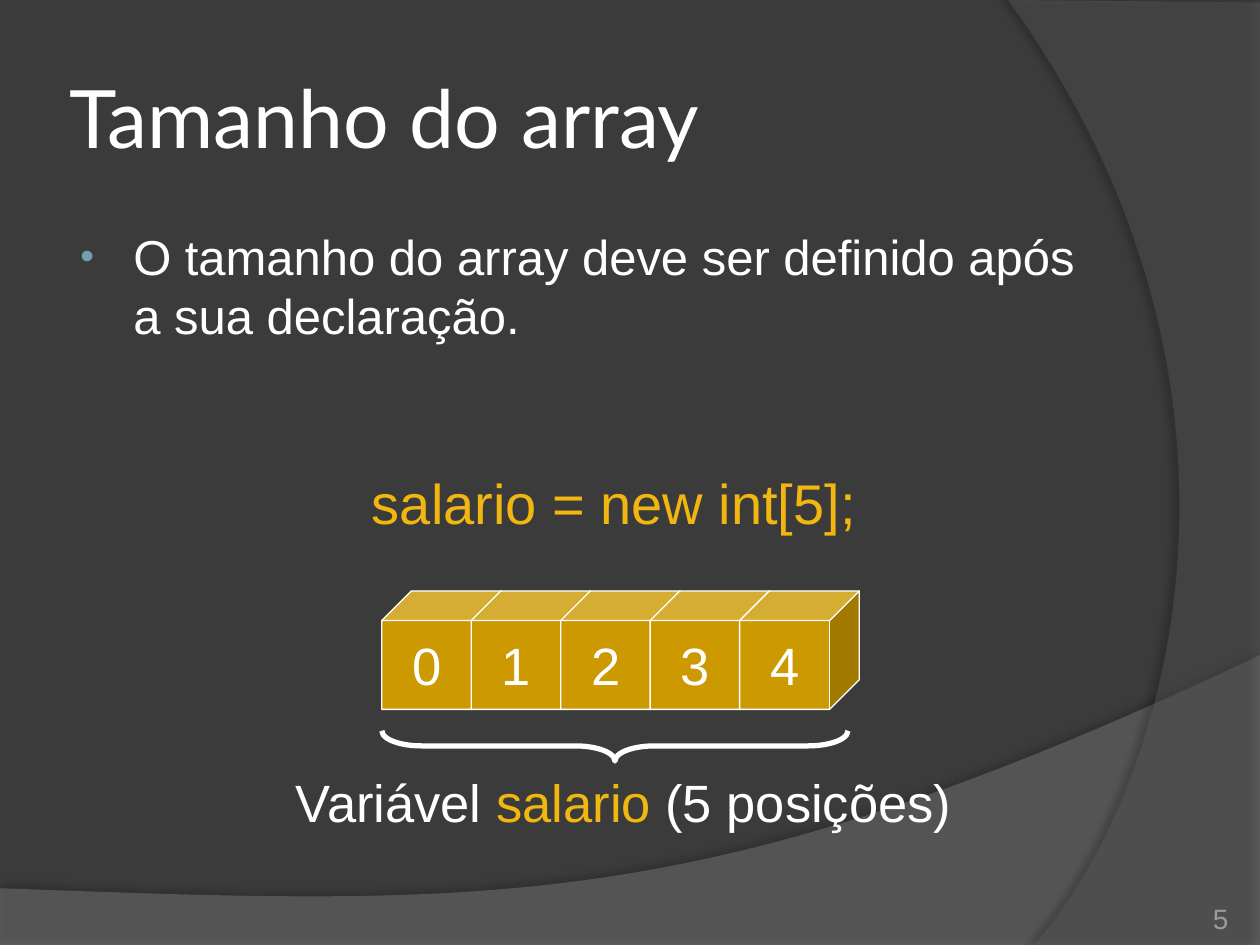
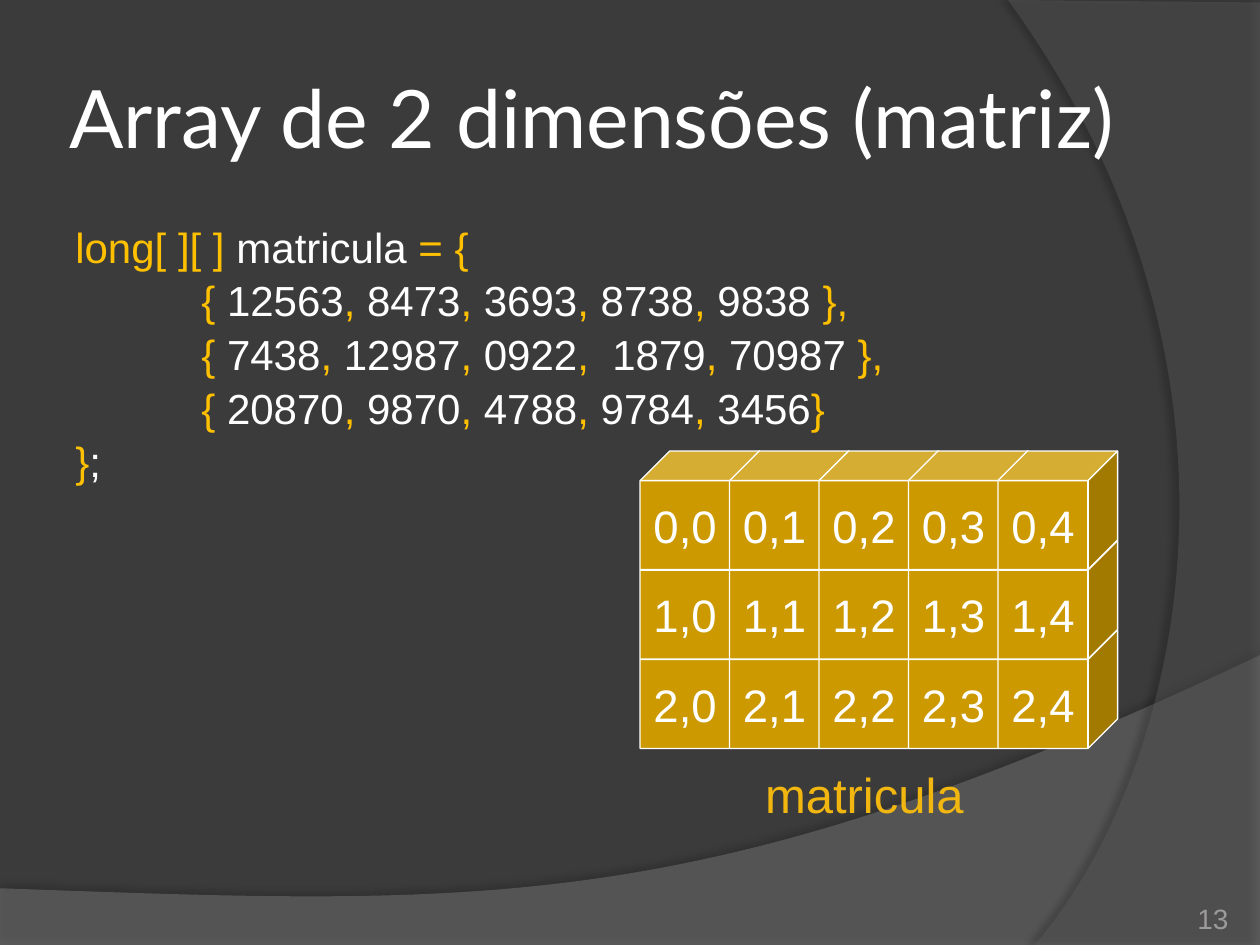
from lxml import etree
from pptx import Presentation
from pptx.dml.color import RGBColor
from pptx.enum.shapes import MSO_SHAPE as Shape
from pptx.enum.text import MSO_ANCHOR as Anchor, PP_ALIGN as Align
from pptx.oxml.ns import qn
from pptx.util import Inches, Pt

# Colours
WHITE = RGBColor(0xFF, 0xFF, 0xFF)
CHARCOAL = RGBColor(0x3B, 0x3B, 0x3B)
WAVE_GREY = RGBColor(0x7F, 0x7F, 0x7F)
ARC_GREY = RGBColor(0x5E, 0x5E, 0x5E)
NUMBER_GREY = RGBColor(0x9D, 0x9B, 0x9A)
BULLET_BLUE = RGBColor(0x6E, 0xA0, 0xB0)
CUBE_GOLD = RGBColor(0xCC, 0x99, 0x00)
NAME_GOLD = RGBColor(0xF1, 0xB6, 0x0F)
CODE_GOLD = RGBColor(0xFF, 0xC0, 0x00)

# Content
SIZE_TITLE, SIZE_PAGE = "Tamanho do array", 5
SIZE_RULE = "O tamanho do array deve ser definido após a sua declaração."
SIZE_CODE = "salario = new int[5];"
SIZE_CAPTION = [("Variável ", WHITE), ("salario", NAME_GOLD),
                (" (5 posições)", WHITE)]
SIZE_CELLS = [["0", "1", "2", "3", "4"]]

MATRIX_TITLE, MATRIX_PAGE = "Array de 2 dimensões (matriz)", 13
MATRIX_NAME = "matricula"
# Bars separate gold syntax from white values, gold first
MATRIX_CODE = [
    "long[ ][ ] |matricula| = {",
    "\t{ |12563|, |8473|, |3693|, |8738|, |9838| },",
    "\t{ |7438|, |12987|, |0922|,  |1879|, |70987| },",
    "\t{ |20870|, |9870|, |4788|, |9784|, |3456|}",
    "}|;",
]
MATRIX_CELLS = [[f"{row},{column}" for column in range(5)] for row in range(3)]

# Shared geometry, in inches
BODY = (0.5, 1.75, 8.17, 4.95)
CUBE_WIDTH, CUBE_HEIGHT, CUBE_STEP = 0.95, 0.94, 0.71
# Each outline: start, curve (two controls and an end), closing corners
WAVE = ((10, 5.2), [(5.59, 7.29), (3.91, 7.19), (0, 7.05)], [(0, 7.5), (10, 7.5)])
ARC = ((8.21, 7.5), [(9.35, 6.19), (10.18, 3), (8, 0)], [(10, 0.02), (10, 7.5)])


def write(para, spans, size, font="Arial"):
    para.font.size, para.font.name = Pt(size), font
    for text, color in spans:
        span = para.add_run()
        span.text = text
        span.font.color.rgb = color


def add_text(page, place, spans, size, font="Arial", align=Align.LEFT,
             anchor=Anchor.TOP, wrap=True, inset=(0.1, 0.05)):
    box = page.shapes.add_textbox(*map(Inches, place))
    frame = box.text_frame
    frame.word_wrap, frame.vertical_anchor = wrap, anchor
    frame.margin_left = frame.margin_right = Inches(inset[0])
    frame.margin_top = frame.margin_bottom = Inches(inset[1])
    para = frame.paragraphs[0]
    para.alignment = align
    write(para, spans, size, font)
    return frame


def add_label(page, place, spans, size):
    add_text(page, place, spans, size, align=Align.CENTER, wrap=False)


def set_alpha(color, percent):
    etree.SubElement(color, qn("a:alpha"), val=str(percent * 1000))


def bend_first_side(band, controls):
    """Turn the first straight side into a cubic curve."""
    side = next(band._element.iter(qn("a:lnTo")))
    curve = etree.Element(qn("a:cubicBezTo"))
    for x, y in controls:
        etree.SubElement(curve, qn("a:pt"), x=str(Inches(x) - band.left),
                         y=str(Inches(y) - band.top))
    side.getparent().replace(side, curve)


def add_band(page, outline, color, opacity, shade, distance, angle):
    """A translucent curved band with a soft shadow."""
    start, controls, corners = outline
    builder = page.shapes.build_freeform(*map(Inches, start))
    points = [controls[-1], *corners]
    builder.add_line_segments([(Inches(x), Inches(y)) for x, y in points], close=True)
    band = builder.convert_to_shape()
    bend_first_side(band, controls)
    band.fill.solid()
    band.fill.fore_color.rgb = color
    band.line.fill.background()
    band.shadow.inherit = False
    properties = band._element.spPr
    set_alpha(properties.find(qn("a:solidFill"))[0], opacity)
    shadow = etree.SubElement(
        properties.find(qn("a:effectLst")), qn("a:outerShdw"), blurRad=str(Pt(4)),
        dist=str(Pt(distance)), dir=str(angle * 60000), algn="ctr", rotWithShape="0")
    set_alpha(etree.SubElement(shadow, qn("a:srgbClr"), val="000000"), shade)


def add_page(deck, title, number):
    page = deck.slides.add_slide(deck.slide_layouts[6])
    page.background.fill.solid()
    page.background.fill.fore_color.rgb = CHARCOAL
    add_band(page, WAVE, WAVE_GREY, 45, 35, 3.5, 270)
    add_band(page, ARC, ARC_GREY, 40, 45, 4, 180)
    add_text(page, (0.5, 0.3, 9.11, 1.25), [(title, WHITE)], 46, "Lato",
             anchor=Anchor.MIDDLE, inset=(0.05, 0.05))
    add_text(page, (8.92, 7.02, 0.83, 0.4), [(str(number), NUMBER_GREY)], 16,
             align=Align.RIGHT, anchor=Anchor.BOTTOM, inset=(0, 0))
    return page


def add_cubes(page, left, top, rows, size):
    """Stack the cubes from the bottom row up, so each hides the one behind."""
    for row, labels in reversed(list(enumerate(rows))):
        for column, label in enumerate(labels):
            cube = page.shapes.add_shape(
                Shape.CUBE, Inches(left + column * CUBE_STEP),
                Inches(top + row * CUBE_STEP), Inches(CUBE_WIDTH), Inches(CUBE_HEIGHT))
            cube.shadow.inherit = False
            cube.adjustments[0] = 0.25
            cube.fill.solid()
            cube.fill.fore_color.rgb = CUBE_GOLD
            cube.line.color.rgb, cube.line.width = WHITE, Pt(0.74)
            frame = cube.text_frame
            frame.word_wrap, frame.vertical_anchor = False, Anchor.MIDDLE
            para = frame.paragraphs[0]
            para.alignment, para.space_before = Align.CENTER, Pt(7.5)
            write(para, [(label, WHITE)], size)


def add_bullet(para):
    properties = para._p.get_or_add_pPr()
    properties.set("marL", str(Inches(0.46)))
    properties.set("indent", str(Inches(-0.42)))
    color = etree.Element(qn("a:buClr"))
    etree.SubElement(color, qn("a:srgbClr"), val=str(BULLET_BLUE))
    bullet = [color, etree.Element(qn("a:buSzPct"), val="80000"),
              etree.Element(qn("a:buFont"), typeface="Arial"),
              etree.Element(qn("a:buChar"), char="•")]
    for position, part in enumerate(bullet):
        properties.insert(position, part)


def add_tab_stop(para, position):
    stops = etree.Element(qn("a:tabLst"))
    etree.SubElement(stops, qn("a:tab"), pos=str(Inches(position)), algn="l")
    para._p.get_or_add_pPr().find(qn("a:defRPr")).addprevious(stops)


deck = Presentation()
deck.slide_width, deck.slide_height = Inches(10), Inches(7.5)

# Array size
page = add_page(deck, SIZE_TITLE, SIZE_PAGE)
rule = add_text(page, BODY, [(SIZE_RULE, WHITE)], 28)
add_bullet(rule.paragraphs[0])
add_cubes(page, 3.03, 4.69, SIZE_CELLS, 30)
add_label(page, (2.84, 3.67, 4.07, 0.64), [(SIZE_CODE, NAME_GOLD)], 32)
brace = page.shapes.add_shape(Shape.RIGHT_BRACE, Inches(4.76), Inches(4.07),
                              Inches(0.24), Inches(3.7))
brace.rotation = 90
brace.adjustments[0], brace.adjustments[1] = 1.31, 0.5
brace.shadow.inherit = False
brace.fill.background()
brace.line.color.rgb, brace.line.width = WHITE, Pt(3)
add_label(page, (2.24, 6.06, 5.42, 0.6), SIZE_CAPTION, 30)

# Two-dimensional array
page = add_page(deck, MATRIX_TITLE, MATRIX_PAGE)
frame = add_text(page, BODY, [], 24)
for index, line in enumerate(MATRIX_CODE):
    para = frame.add_paragraph() if index else frame.paragraphs[0]
    para.line_spacing, para.space_before = 0.9, Pt(4.8)
    write(para, [(text, WHITE if part % 2 else CODE_GOLD)
                 for part, text in enumerate(line.split("|"))], 24)
    add_tab_stop(para, 1)
add_cubes(page, 5.08, 3.58, MATRIX_CELLS, 26)
add_label(page, (5.97, 6.02, 1.78, 0.57), [(MATRIX_NAME, NAME_GOLD)], 28)

deck.save("out.pptx")
